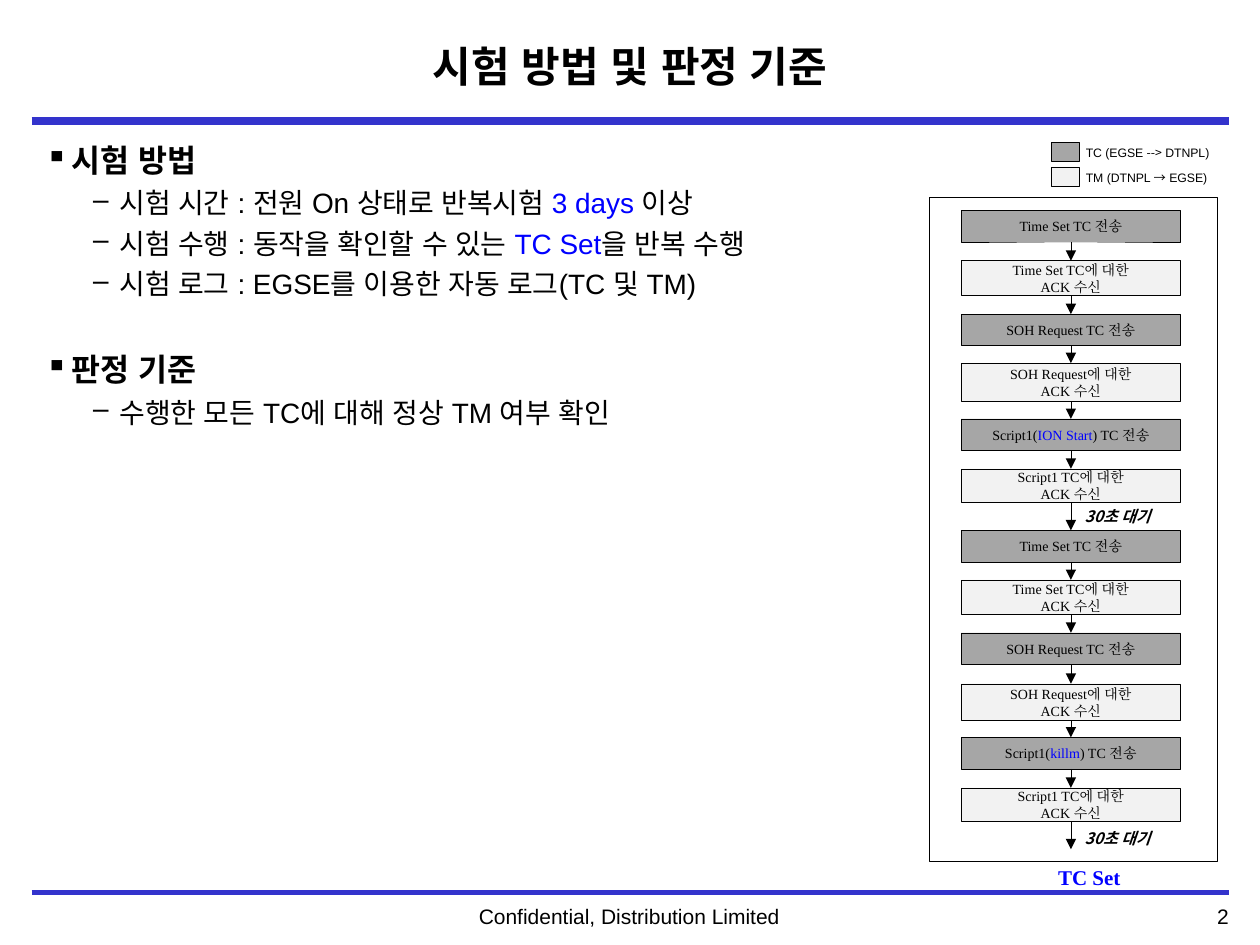
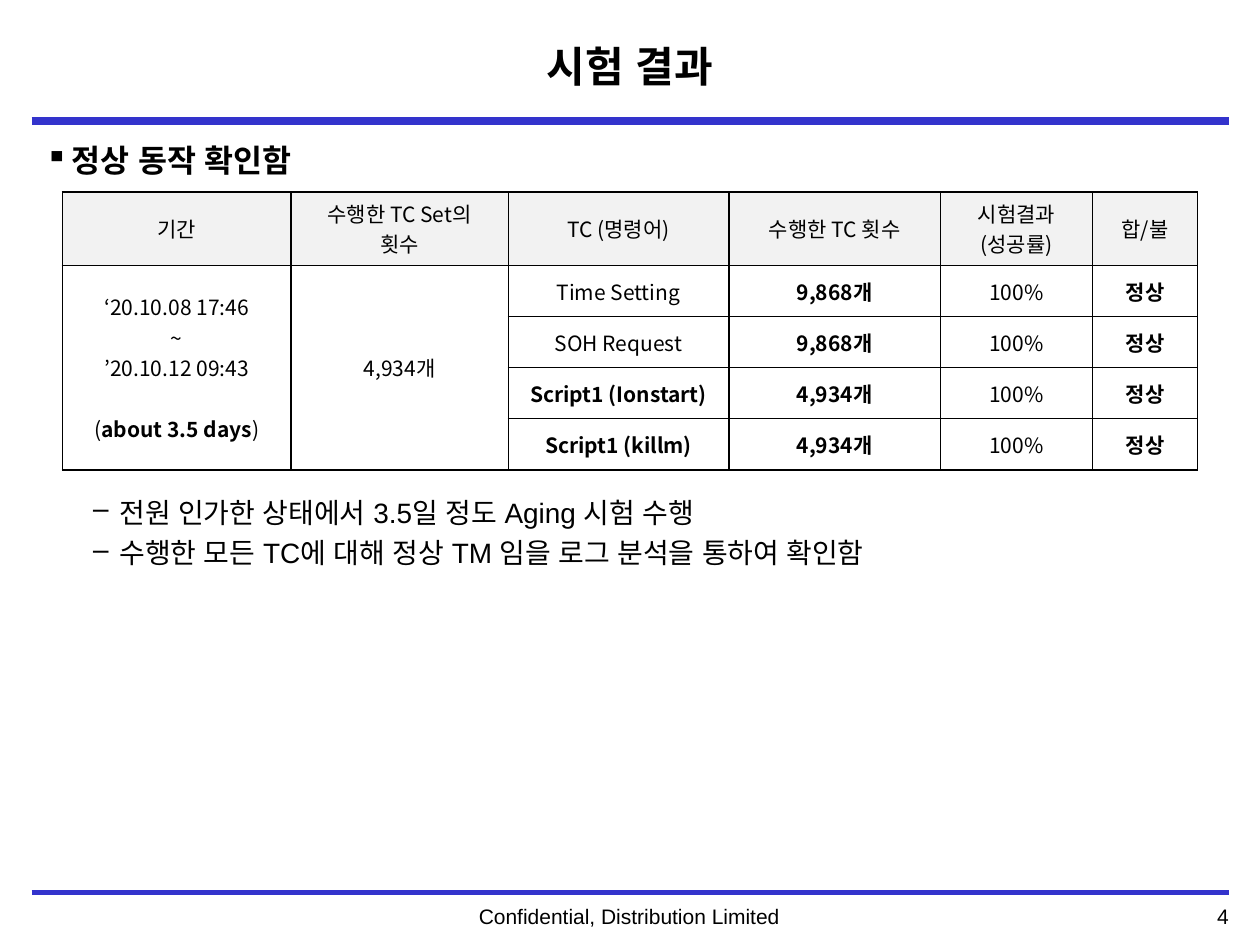
import dataclasses
import typing

import lxml.etree
import pptx
import pptx.dml.color
import pptx.enum.shapes
import pptx.enum.text
import pptx.oxml.ns
import pptx.util

Pt = pptx.util.Pt
qn = pptx.oxml.ns.qn
ALIGN = pptx.enum.text.PP_ALIGN
MIDDLE = pptx.enum.text.MSO_ANCHOR.MIDDLE
STRAIGHT = pptx.enum.shapes.MSO_CONNECTOR.STRAIGHT
RECTANGLE = pptx.enum.shapes.MSO_SHAPE.RECTANGLE

COLORS = {
    "text": "000000",
    "rule": "3333CC",
    "accent": "0000FF",
    "command": "A6A6A6",
    "telemetry": "F2F2F2",
}
SANS, SERIF, KOREAN = "Arial", "Times New Roman", "Noto Sans CJK KR"


class Box(typing.NamedTuple):
    left: float
    top: float
    width: float
    height: float


@dataclasses.dataclass(frozen=True)
class Span:
    text: str
    color: str = "text"
    bold: bool = False
    font: str = ""


@dataclasses.dataclass(frozen=True)
class Style:
    size: float
    font: str = SANS
    color: str = "text"
    bold: bool = False
    italic: bool = False
    align: ALIGN = ALIGN.LEFT


@dataclasses.dataclass(frozen=True)
class Bullet:
    level: int
    spans: tuple
    before: float = 4


@dataclasses.dataclass(frozen=True)
class Step:
    kind: str
    top: float
    height: float
    lines: tuple


FOOTER = Style(12, align=ALIGN.CENTER)
PAGE = Style(12, align=ALIGN.RIGHT)
TITLE = Style(24, bold=True, align=ALIGN.CENTER)
LEVELS = (Style(18, bold=True), Style(16))
BULLETS = ((15.1, "▪"), (42.5, "–"))
STEP = Style(8, SERIF, align=ALIGN.CENTER)
WAIT = Style(9, KOREAN, bold=True, italic=True)
CAPTION = Style(12, SERIF, "accent", bold=True)
LEGEND = Style(7)
CELL = Style(12, KOREAN, align=ALIGN.CENTER)

STEP_LEFT, STEP_WIDTH = 549.3, 125.3


def rgb(name: str) -> pptx.dml.color.RGBColor:
    return pptx.dml.color.RGBColor.from_string(COLORS[name])


def as_spans(line: typing.Union[str, tuple]) -> tuple:
    return (Span(line),) if isinstance(line, str) else line


def write_paragraph(paragraph, line, style: Style) -> None:
    paragraph.alignment = style.align
    for span in as_spans(line):
        run = paragraph.add_run()
        run.text = span.text
        font = run.font
        font.size = Pt(style.size)
        font.bold = style.bold or span.bold
        font.italic = style.italic
        font.color.rgb = rgb(style.color if span.color == "text" else span.color)
        font.name = span.font or style.font
        east_asian = lxml.etree.Element(qn("a:ea"), typeface=font.name)
        run._r.rPr.find(qn("a:latin")).addnext(east_asian)


def write_lines(frame, lines: typing.Iterable, style: Style) -> None:
    for index, line in enumerate(lines):
        paragraph = frame.add_paragraph() if index else frame.paragraphs[0]
        write_paragraph(paragraph, line, style)


def add_text(slide, box: Box, line, style: Style, wrap: bool = True):
    shape = slide.shapes.add_textbox(*map(Pt, box))
    frame = shape.text_frame
    frame.word_wrap = wrap
    if not wrap:
        frame.auto_size = pptx.enum.text.MSO_AUTO_SIZE.SHAPE_TO_FIT_TEXT
    write_lines(frame, (line,), style)
    return shape


def add_rectangle(slide, box: Box, fill: str = ""):
    shape = slide.shapes.add_shape(RECTANGLE, *map(Pt, box))
    shape.shadow.inherit = False
    if fill:
        shape.fill.solid()
        shape.fill.fore_color.rgb = rgb(fill)
    else:
        shape.fill.background()
    shape.line.color.rgb = rgb("text")
    shape.line.width = Pt(0.25)
    return shape


def add_line(slide, start: tuple, end: tuple, color: str, width: float):
    line = slide.shapes.add_connector(STRAIGHT, *map(Pt, start + end))
    line.line.color.rgb = rgb(color)
    line.line.width = Pt(width)
    lxml.etree.SubElement(line._element.spPr, qn("a:effectLst"))
    return line


def add_arrow(slide, source, target=None, length: float = 0) -> None:
    x = STEP_LEFT + STEP_WIDTH / 2
    bottom = source.top.pt + source.height.pt
    arrow = add_line(slide, (x, bottom), (x, bottom + length), "text", 0.25)
    arrow.begin_connect(source, 2)
    if target is not None:
        arrow.end_connect(target, 0)
    outline = arrow._element.spPr.find(qn("a:ln"))
    lxml.etree.SubElement(outline, qn("a:tailEnd"), type="triangle")


def add_frame(presentation, title: str, page: str):
    slide = presentation.slides.add_slide(presentation.slide_layouts[6])
    for y, width in ((510.1, 2.75), (69.1, 4.5)):
        add_line(slide, (18, y), (702, y), "rule", width)
    add_text(slide, Box(592.6, 512.6, 116.6, 21.8), page, PAGE)
    add_text(slide, Box(176.4, 512.6, 366.5, 21.8), "Confidential, Distribution Limited", FOOTER)
    heading = add_text(slide, Box(96, 10, 528, 55.4), title, TITLE)
    heading.text_frame.vertical_anchor = MIDDLE
    return slide


def add_bullets(slide, bullets: typing.Sequence[Bullet]) -> None:
    shape = slide.shapes.add_textbox(*map(Pt, Box(18.7, 77, 684.7, 427)))
    frame = shape.text_frame
    frame.word_wrap = True
    for index, bullet in enumerate(bullets):
        paragraph = frame.add_paragraph() if index else frame.paragraphs[0]
        margin, symbol = BULLETS[bullet.level]
        properties = paragraph._p.get_or_add_pPr()
        properties.set("marL", str(int(Pt(margin))))
        properties.set("indent", str(-int(Pt(BULLETS[0][0]))))
        lxml.etree.SubElement(properties, qn("a:buChar"), char=symbol)
        if index:
            paragraph.space_before = Pt(bullet.before)
        write_paragraph(paragraph, bullet.spans, LEVELS[bullet.level])


def add_legend(slide) -> None:
    entries = (("command", "TC (EGSE ", "-->", " DTNPL)"),
               ("telemetry", "TM (DTNPL ", "→", " EGSE)"))
    for index, (kind, before, arrow, after) in enumerate(entries):
        offset = 14.4 * index
        add_rectangle(slide, Box(600.8, 81.4 + offset, 15.8, 10.8), kind)
        label = (Span(before), Span(arrow, font=KOREAN), Span(after))
        add_text(slide, Box(613.4, 79.2 + offset, 87, 15.8), label, LEGEND, wrap=False)


def script_call(name: str) -> tuple:
    return ((Span("Script1("), Span(name, "accent"), Span(") TC 전송")),)


def add_flow(slide) -> None:
    reply = "ACK 수신"
    time_set, time_reply = ("Time Set TC 전송",), ("Time Set TC에 대한", reply)
    health, health_reply = ("SOH Request TC 전송",), ("SOH Request에 대한", reply)
    script_reply = ("Script1 TC에 대한", reply)
    steps = (
        Step("command", 120.2, 18, time_set),
        Step("telemetry", 149, 20, time_reply),
        Step("command", 179.5, 18, health),
        Step("telemetry", 207.5, 22, health_reply),
        Step("command", 239.4, 18, script_call("ION Start")),
        Step("telemetry", 267.9, 19.3, script_reply),
        Step("command", 303.1, 18, time_set),
        Step("telemetry", 331.4, 19.6, time_reply),
        Step("command", 361.6, 18, health),
        Step("telemetry", 390.7, 21, health_reply),
        Step("command", 421.4, 18, script_call("killm")),
        Step("telemetry", 450.2, 19.3, script_reply),
    )
    add_rectangle(slide, Box(530.8, 113, 164.9, 379.4))
    previous = None
    for step in steps:
        shape = add_rectangle(slide, Box(STEP_LEFT, step.top, STEP_WIDTH, step.height), step.kind)
        shape.text_frame.word_wrap = False
        shape.text_frame.vertical_anchor = MIDDLE
        write_lines(shape.text_frame, step.lines, STEP)
        if previous is not None:
            add_arrow(slide, previous, shape)
        previous = shape
    add_arrow(slide, previous, length=15.8)
    for top in (285.8, 470.2):
        add_text(slide, Box(612.7, top, 68.4, 19.4), "30초 대기", WAIT, wrap=False)
    add_text(slide, Box(597.6, 490.3, 50.4, 21.6), "TC Set", CAPTION, wrap=False)


def format_cell(cell, lines: tuple, fill: str = "") -> None:
    cell.vertical_anchor = MIDDLE
    write_lines(cell.text_frame, lines, CELL)
    properties = cell._tc.get_or_add_tcPr()
    for side in ("a:lnL", "a:lnR", "a:lnT", "a:lnB"):
        border = lxml.etree.SubElement(properties, qn(side), w=str(int(Pt(1))))
        solid = lxml.etree.SubElement(border, qn("a:solidFill"))
        lxml.etree.SubElement(solid, qn("a:srgbClr"), val=COLORS["text"])
    if fill:
        cell.fill.solid()
        cell.fill.fore_color.rgb = rgb(fill)
    else:
        cell.fill.background()


def add_results(slide) -> None:
    widths = (130.6, 124.2, 126, 121, 86.8, 60.2)
    heights = (42.1,) + (29.2,) * 4
    headers = (("기간",), ("수행한 TC Set의", "횟수"), ("TC (명령어)",),
               ("수행한 TC 횟수",), ("시험결과", "(성공률)"), ("합/불",))
    period = ("‘20.10.08 17:46", "~", "’20.10.12 09:43",
              (Span("("), Span("about 3.5 days", bold=True), Span(")")))
    results = (("Time Setting", False, "9,868개"), ("SOH Request", False, "9,868개"),
               ("Script1 (Ionstart)", True, "4,934개"), ("Script1 (killm)", True, "4,934개"))
    box = Box(35.7, 109.6, sum(widths), sum(heights))
    table = slide.shapes.add_table(len(heights), len(widths), *map(Pt, box)).table
    table.first_row = table.horz_banding = False
    for column, width in zip(table.columns, widths):
        column.width = Pt(width)
    for row, height in zip(table.rows, heights):
        row.height = Pt(height)
    for column, lines in enumerate(headers):
        format_cell(table.cell(0, column), lines, "telemetry")
    for row, (command, bold, count) in enumerate(results, 1):
        values = (Span(command, bold=bold), Span(count, bold=True),
                  Span("100%"), Span("정상", bold=True))
        first = row == 1
        format_cell(table.cell(row, 0), period if first else ())
        format_cell(table.cell(row, 1), ("4,934개",) if first else ())
        for column, value in enumerate(values, 2):
            format_cell(table.cell(row, column), ((value,),))
    table.cell(1, 0).text_frame.paragraphs[-1].space_before = Pt(17.4)
    for column in (0, 1):
        table.cell(1, column).merge(table.cell(len(results), column))


def main() -> None:
    presentation = pptx.Presentation()
    presentation.slide_width, presentation.slide_height = Pt(720), Pt(540)

    method = add_frame(presentation, "시험 방법 및 판정 기준", "2")
    add_bullets(method, (
        Bullet(0, as_spans("시험 방법")),
        Bullet(1, (Span("시험 시간 : 전원 On 상태로 반복시험 "), Span("3 days ", "accent"), Span("이상"))),
        Bullet(1, (Span("시험 수행 : 동작을 확인할 수 있는 "), Span("TC Set", "accent"), Span("을 반복 수행"))),
        Bullet(1, as_spans("시험 로그 : EGSE를 이용한 자동 로그(TC 및 TM)")),
        Bullet(0, as_spans("판정 기준"), before=28.6),
        Bullet(1, as_spans("수행한 모든 TC에 대해 정상 TM 여부 확인")),
    ))
    add_flow(method)
    add_legend(method)

    result = add_frame(presentation, "시험 결과", "4")
    add_bullets(result, (
        Bullet(0, as_spans("정상 동작 확인함")),
        Bullet(1, as_spans("전원 인가한 상태에서 3.5일 정도 Aging 시험 수행"), before=181),
        Bullet(1, as_spans("수행한 모든 TC에 대해 정상 TM 임을 로그 분석을 통하여 확인함")),
    ))
    add_results(result)
    presentation.save("out.pptx")


if __name__ == "__main__":
    main()
